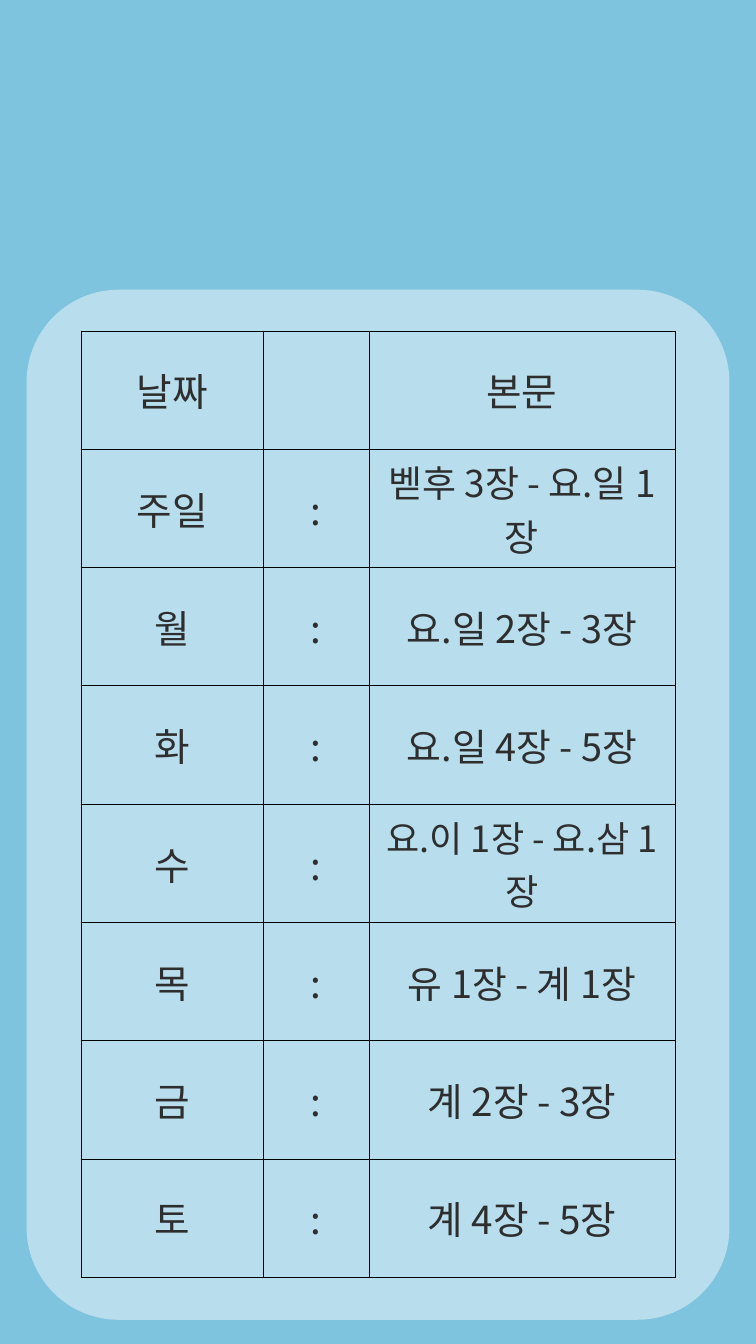
from lxml import etree
from pptx import Presentation
from pptx.dml.color import RGBColor
from pptx.enum.shapes import MSO_SHAPE
from pptx.enum.text import MSO_ANCHOR, PP_ALIGN
from pptx.oxml.ns import qn
from pptx.util import Inches, Pt

ROUNDED = MSO_SHAPE.ROUNDED_RECTANGLE
MIDDLE = MSO_ANCHOR.MIDDLE
CENTER = PP_ALIGN.CENTER

# Content: day, separator, reading, type size of the reading
READINGS = [
    ("날짜", "", "본문", 46),
    ("주일", ":", "벧후 3장 - 요.일 1장", 44),
    ("월", ":", "요.일 2장 - 3장", 45),
    ("화", ":", "요.일 4장 - 5장", 45),
    ("수", ":", "요.이 1장 - 요.삼 1장", 43),
    ("목", ":", "유 1장 - 계 1장", 45),
    ("금", ":", "계 2장 - 3장", 46),
    ("토", ":", "계 4장 - 5장", 46),
]

THEME = {
    "background": RGBColor.from_string("7FC4DF"),
    "panel": RGBColor.from_string("FFFFFF"),
    "panel_opacity": 45,
    "text": RGBColor.from_string("2E2E2E"),
    "border": "000000",
    "border_width": Pt(1),
    "font": "Noto Sans CJK KR",
    "size": 46,
}

# Layout in inches
WIDTH, HEIGHT = 12.5, 22.22
PANEL = (0.44, 4.79, 11.62, 17.03)
PANEL_ROUNDING = 0.131
TABLE = (1.34, 5.47, 9.82, 15.65)
COLUMNS = (3.01, 1.75, 2.53, 2.53)
CELL_FORMAT = {
    "vertical_anchor": MIDDLE,
    **{f"margin_{side}": Inches(0.06) for side in ("left", "right", "top", "bottom")},
}


def add_panel(slide):
    panel = slide.shapes.add_shape(ROUNDED, *map(Inches, PANEL))
    panel.adjustments[0] = PANEL_ROUNDING
    panel.shadow.inherit = False
    panel.line.fill.background()
    panel.fill.solid()
    panel.fill.fore_color.rgb = THEME["panel"]
    color = panel.fill._xPr.find(".//" + qn("a:srgbClr"))
    etree.SubElement(color, qn("a:alpha"), val=str(THEME["panel_opacity"] * 1000))


def format_cell(cell):
    for name, value in CELL_FORMAT.items():
        setattr(cell, name, value)
    properties = cell._tc.get_or_add_tcPr()
    for side in ("lnL", "lnR", "lnT", "lnB"):
        line = etree.SubElement(properties, qn(f"a:{side}"), w=str(THEME["border_width"]))
        fill = etree.SubElement(line, qn("a:solidFill"))
        etree.SubElement(fill, qn("a:srgbClr"), val=THEME["border"])
    cell.fill.background()


def write_cell(cell, text, size):
    paragraph = cell.text_frame.paragraphs[0]
    paragraph.alignment = CENTER
    if not text:
        return
    run = paragraph.add_run()
    run.text = text
    run.font.name = THEME["font"]
    run.font.size = Pt(size)
    run.font.color.rgb = THEME["text"]
    etree.SubElement(run.font._element, qn("a:ea"), typeface=THEME["font"])


def add_readings(slide):
    frame = slide.shapes.add_table(len(READINGS), len(COLUMNS), *map(Inches, TABLE))
    table = frame.table
    table.first_row = table.horz_banding = False
    for column, width in zip(table.columns, COLUMNS):
        column.width = Inches(width)
    for row in table.rows:
        row.height = Inches(TABLE[3] / len(READINGS))
    for cell in table.iter_cells():
        format_cell(cell)
    for row, (day, separator, reading, size) in enumerate(READINGS):
        # The reading spans the last two columns
        table.cell(row, 2).merge(table.cell(row, 3))
        sizes = (THEME["size"], THEME["size"], size)
        for column, text in enumerate((day, separator, reading)):
            write_cell(table.cell(row, column), text, sizes[column])


def main():
    presentation = Presentation()
    presentation.slide_width = Inches(WIDTH)
    presentation.slide_height = Inches(HEIGHT)
    blank_layout = presentation.slide_layouts[6]
    slide = presentation.slides.add_slide(blank_layout)
    slide.background.fill.solid()
    slide.background.fill.fore_color.rgb = THEME["background"]
    add_panel(slide)
    add_readings(slide)
    presentation.save("out.pptx")


if __name__ == "__main__":
    main()
